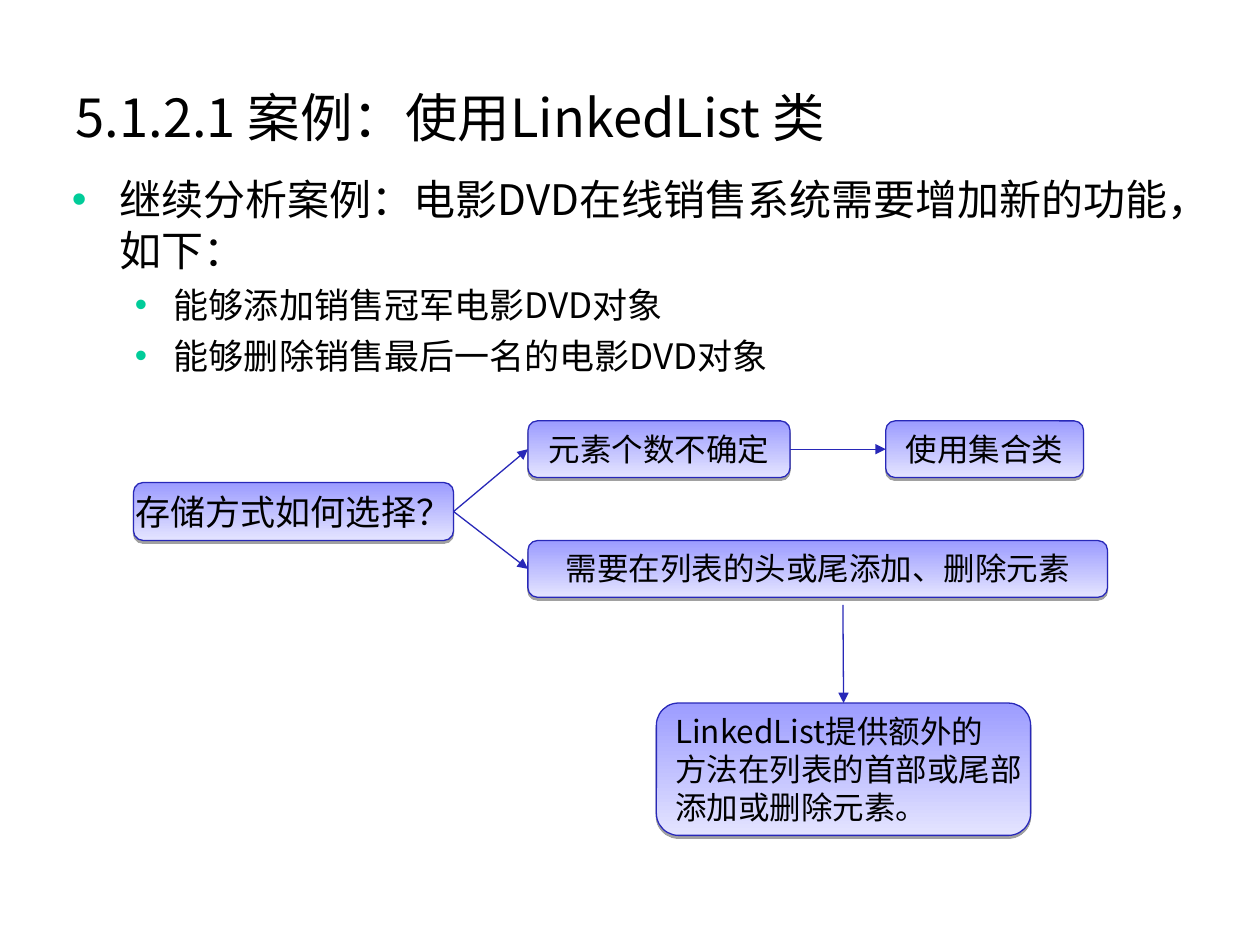
from lxml import etree
from pptx import Presentation
from pptx.dml.color import RGBColor
from pptx.enum import shapes, text
from pptx.oxml import ns
from pptx.util import Inches, Pt

FONT = "Noto Sans CJK SC"
BLACK, LINE, BULLET = "000000", "2828B8", "00CC99"
GRADIENT = ("9C9CFF", "E4E4FF")
TOP, LEFT, BOTTOM, RIGHT = range(4)

TITLE = "5.1.2.1 案例：使用LinkedList 类"
# level, text
POINTS = [
    (0, "继续分析案例：电影DVD在线销售系统需要增加新的功能，如下："),
    (1, "能够添加销售冠军电影DVD对象"),
    (1, "能够删除销售最后一名的电影DVD对象"),
]
# size, space before, left indent, hanging indent
LEVELS = [(24, 6, 0.38, 0.38), (20, 5, 0.81, 0.31)]

CENTER, START = text.PP_ALIGN.CENTER, text.PP_ALIGN.LEFT
MIDDLE, UPPER = text.MSO_ANCHOR.MIDDLE, text.MSO_ANCHOR.TOP
# left, top, width, height, size, alignment, anchor, wrap, lines
BOXES = {
    "question": (1.06, 3.83, 2.54, 0.46, 20, CENTER, MIDDLE, False,
                 ["存储方式如何选择？"]),
    "count": (4.19, 3.34, 2.08, 0.45, 18, CENTER, UPPER, True,
              ["元素个数不确定"]),
    "collection": (7.03, 3.34, 1.57, 0.45, 18, CENTER, UPPER, True,
                   ["使用集合类"]),
    "ends": (4.19, 4.29, 4.6, 0.45, 18, CENTER, UPPER, True,
             ["需要在列表的头或尾添加、删除元素"]),
    "linked_list": (5.21, 5.58, 2.97, 1.05, 18, START, MIDDLE, False,
                    ["LinkedList提供额外的", "方法在列表的首部或尾部", "添加或删除元素。"]),
}
ARROWS = [
    ("question", RIGHT, "count", LEFT),
    ("question", RIGHT, "ends", LEFT),
    ("count", RIGHT, "collection", LEFT),
]
DOWN_ARROW_START = (6.69, 4.8)


def color(value):
    return RGBColor.from_string(value)


def sub(parent, tag, **attributes):
    return etree.SubElement(parent, ns.qn(tag), attributes)


def write(paragraph, words, size):
    run = paragraph.add_run()
    run.text = words
    run.font.size = Pt(size)
    run.font.color.rgb = color(BLACK)
    run.font.name = FONT
    sub(run.font._element, "a:ea", typeface=FONT)


def paragraphs(frame, count):
    return [frame.paragraphs[0]] + [frame.add_paragraph() for _ in range(count - 1)]


def place(shape, *box):
    for side, value in zip(("left", "top", "width", "height"), box):
        setattr(shape, side, Inches(value))


def format_frame(frame, **values):
    for name, value in values.items():
        setattr(frame, name, value)


def add_bullet(paragraph, left, hanging):
    properties = paragraph._p.get_or_add_pPr()
    properties.set("marL", str(Inches(left)))
    properties.set("indent", str(-Inches(hanging)))
    sub(sub(properties, "a:buClr"), "a:srgbClr", val=BULLET)
    sub(properties, "a:buFont", typeface="Arial")
    sub(properties, "a:buChar", char="•")


def add_box(slide, left, top, width, height, size, align, anchor, wrap, lines):
    box = slide.shapes.add_shape(
        shapes.MSO_SHAPE.ROUNDED_RECTANGLE,
        Inches(left), Inches(top), Inches(width), Inches(height))
    box.fill.gradient()
    box.fill.gradient_angle = 270
    for stop, value, position in zip(box.fill.gradient_stops, GRADIENT, (0, 1)):
        stop.color.rgb = color(value)
        stop.position = position
    box.line.color.rgb = color(LINE)
    box.line.width = Pt(0.75)
    box.shadow.inherit = False
    effects = box._element.spPr.find(ns.qn("a:effectLst"))
    shadow = sub(effects, "a:outerShdw", blurRad="0", dist=str(Pt(1.6)),
                 dir="5400000", rotWithShape="0")
    sub(sub(shadow, "a:srgbClr", val=BLACK), "a:alpha", val="37000")
    format_frame(box.text_frame, word_wrap=wrap, vertical_anchor=anchor)
    for paragraph, line in zip(paragraphs(box.text_frame, len(lines)), lines):
        paragraph.alignment = align
        write(paragraph, line, size)
    return box


def add_arrow(slide, target, target_side, source=None, source_side=None, start=(0, 0)):
    """Draw an arrow to a box side, from another box side or a free start point."""
    x, y = map(Inches, start)
    arrow = slide.shapes.add_connector(shapes.MSO_CONNECTOR.STRAIGHT, x, y, x, y)
    if source is not None:
        arrow.begin_connect(source, source_side)
    arrow.end_connect(target, target_side)
    arrow.line.color.rgb = color(LINE)
    arrow.line.width = Pt(0.75)
    sub(arrow.line._get_or_add_ln(), "a:tailEnd", type="triangle")
    sub(arrow._element.spPr, "a:effectLst")


def main():
    deck = Presentation()
    deck.slide_width, deck.slide_height = Inches(10), Inches(7.5)
    slide = deck.slides.add_slide(deck.slide_layouts[1])
    title, body = slide.shapes.title, slide.placeholders[1]

    place(title, 0.5, 0.3, 9.27, 1.25)
    format_frame(title.text_frame, auto_size=text.MSO_AUTO_SIZE.NONE,
                 word_wrap=True, vertical_anchor=MIDDLE)
    heading = title.text_frame.paragraphs[0]
    heading.alignment = START
    write(heading, TITLE, 30)

    place(body, 0.47, 1.33, 9, 5.51)
    format_frame(body.text_frame, auto_size=text.MSO_AUTO_SIZE.NONE,
                 word_wrap=True, vertical_anchor=UPPER)
    for i, paragraph in enumerate(paragraphs(body.text_frame, len(POINTS))):
        level, words = POINTS[i]
        size, before, left, hanging = LEVELS[level]
        paragraph.level = level
        paragraph.space_before = Pt(before if i else 0)
        add_bullet(paragraph, left, hanging)
        write(paragraph, words, size)

    boxes = {name: add_box(slide, *box) for name, box in BOXES.items()}
    for source, source_side, target, target_side in ARROWS:
        add_arrow(slide, boxes[target], target_side, boxes[source], source_side)
    add_arrow(slide, boxes["linked_list"], TOP, start=DOWN_ARROW_START)

    deck.save("out.pptx")


if __name__ == "__main__":
    main()
